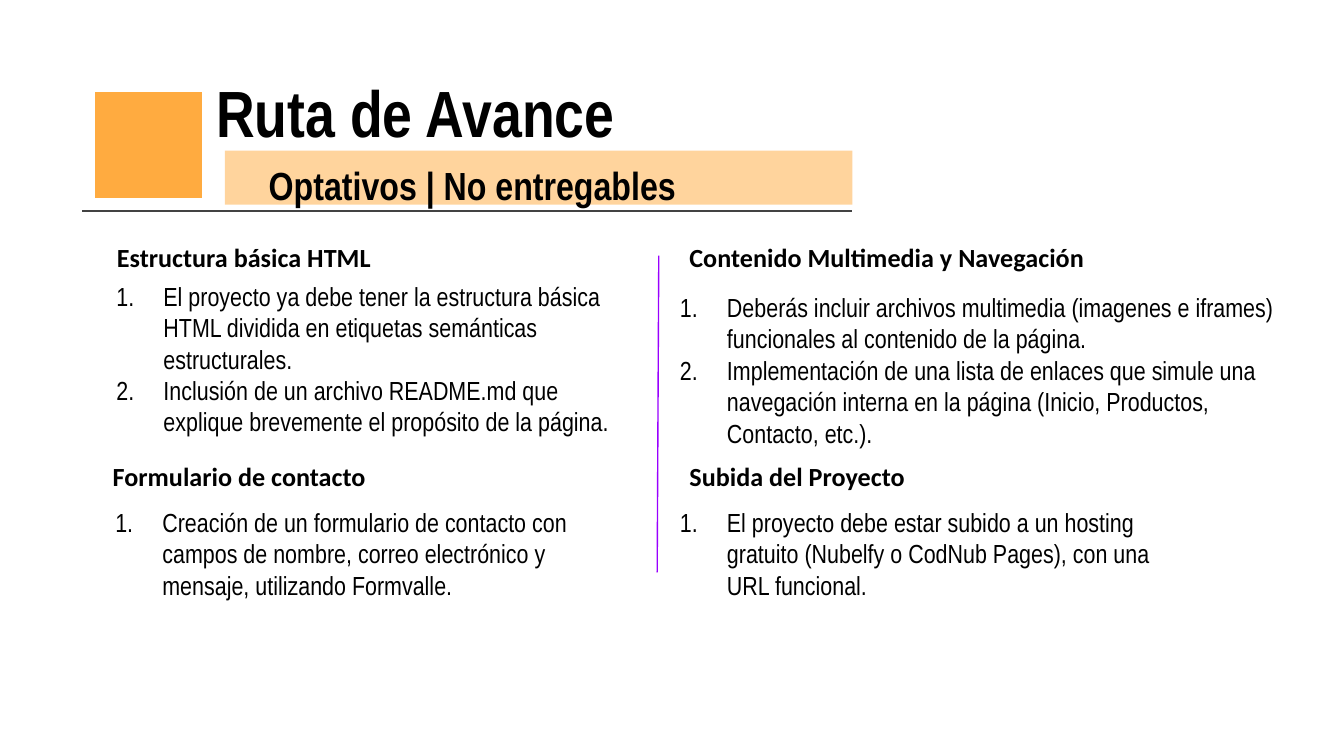
from lxml.etree import SubElement
from pptx import Presentation
from pptx.dml.color import RGBColor
from pptx.enum.shapes import MSO_CONNECTOR, MSO_SHAPE
from pptx.enum.text import MSO_ANCHOR, MSO_AUTO_SIZE
from pptx.oxml.ns import qn
from pptx.util import Cm, Pt

COLORS = {"text": "000000", "orange": "FFAB40", "white": "FFFFFF",
          "rule": "434343", "divider": "9900FF"}
FORMATS = {
    "title": {"name": "Arial Narrow", "size": Pt(35), "bold": True},
    "subtitle": {"name": "Arial Narrow", "size": Pt(21), "bold": True},
    "heading": {"name": "Calibri", "size": Pt(14), "bold": True},
    "body": {"name": "Arial Narrow", "size": Pt(14), "bold": False},
}


def rgb(name):
    return RGBColor.from_string(COLORS[name])


def add_text(s, box, lines, style, margin=0.25, numbered=False):
    """Add a text box, one paragraph per line, and return its text frame."""
    tf = s.shapes.add_textbox(*(Cm(v) for v in box)).text_frame
    tf.word_wrap = True
    tf.vertical_anchor = MSO_ANCHOR.TOP
    for side in ("left", "top", "right", "bottom"):
        setattr(tf, f"margin_{side}", Cm(margin))
    for i, line in enumerate(lines):
        p = tf.add_paragraph() if i else tf.paragraphs[0]
        if numbered:
            pPr = p._p.get_or_add_pPr()
            pPr.set("marL", str(Cm(1.27)))
            pPr.set("indent", str(Cm(-0.89)))
            SubElement(pPr, qn("a:buAutoNum"), type="arabicPeriod")
        r = p.add_run()
        r.text = line
        for key, value in FORMATS[style].items():
            setattr(r.font, key, value)
        r.font.color.rgb = rgb("text")
    return tf


prs = Presentation()
prs.slide_width, prs.slide_height = Cm(25.4), Cm(14.29)
s = prs.slides.add_slide(prs.slide_layouts[6])

# Header: square, translucent band, title and subtitle
square = s.shapes.add_shape(MSO_SHAPE.RECTANGLE, Cm(1.78), Cm(1.73), Cm(2.06), Cm(2.03))
band = s.shapes.add_shape(MSO_SHAPE.RECTANGLE, Cm(4.25), Cm(2.85), Cm(11.86), Cm(1.02))
for sp in (square, band):
    sp.shadow.inherit = False
    sp.fill.solid()
    sp.fill.fore_color.rgb = rgb("orange")
square.line.color.rgb = rgb("white")
square.line.width = Pt(1)
band.line.fill.background()
band_color = band.fill._xPr.find(qn("a:solidFill"))[0]
SubElement(band_color, qn("a:alpha"), val="51000")

add_text(s, (3.84, 1.12, 20.22, 2.06), ["Ruta de Avance"], "title")
tf = add_text(s, (5.08, 2.87, 11.02, 0.89), ["Optativos | No entregables"], "subtitle", margin=0)
tf.auto_size = MSO_AUTO_SIZE.SHAPE_TO_FIT_TEXT
tf.paragraphs[0].line_spacing = 1.2

# Rule under the header and divider between the columns
for x1, y1, x2, y2, color in [(1.55, 3.99, 16.1, 3.99, "rule"),
                              (12.45, 4.83, 12.42, 10.82, "divider")]:
    line = s.shapes.add_connector(MSO_CONNECTOR.STRAIGHT, Cm(x1), Cm(y1), Cm(x2), Cm(y2))
    line.line.color.rgb = rgb(color)
    line.line.width = Pt(0.75)
    SubElement(line._element.spPr, qn("a:effectLst"))

# Four sections: heading, its left, top and width, then the list's and its items
sections = [
    ("Estructura básica HTML", (1.96, 4.32, 9.55), (1.57, 5.05, 10.67), [
        "El proyecto ya debe tener la estructura básica HTML dividida en etiquetas "
        "semánticas estructurales.",
        "Inclusión de un archivo README.md que explique brevemente el propósito de la página."]),
    ("Contenido Multimedia y Navegación", (12.78, 4.32, 11.63), (12.22, 5.26, 12.22), [
        "Deberás incluir archivos multimedia (imagenes e iframes) funcionales al "
        "contenido de la página.",
        "Implementación de una lista de enlaces que simule una navegación interna "
        "en la página (Inicio, Productos, Contacto, etc.)."]),
    ("Formulario de contacto", (1.88, 8.46, 9.55), (1.55, 9.32, 10.67), [
        "Creación de un formulario de contacto con campos de nombre, correo "
        "electrónico y mensaje, utilizando Formvalle."]),
    ("Subida del Proyecto", (12.78, 8.46, 9.55), (12.22, 9.32, 10.67), [
        "El proyecto debe estar subido a un hosting gratuito (Nubelfy o CodNub Pages), "
        "con una URL funcional."]),
]
for heading, heading_box, list_box, items in sections:
    add_text(s, (*heading_box, 1.02), [heading], "heading")
    add_text(s, (*list_box, 3.78), items, "body", numbered=True)

prs.save("out.pptx")
